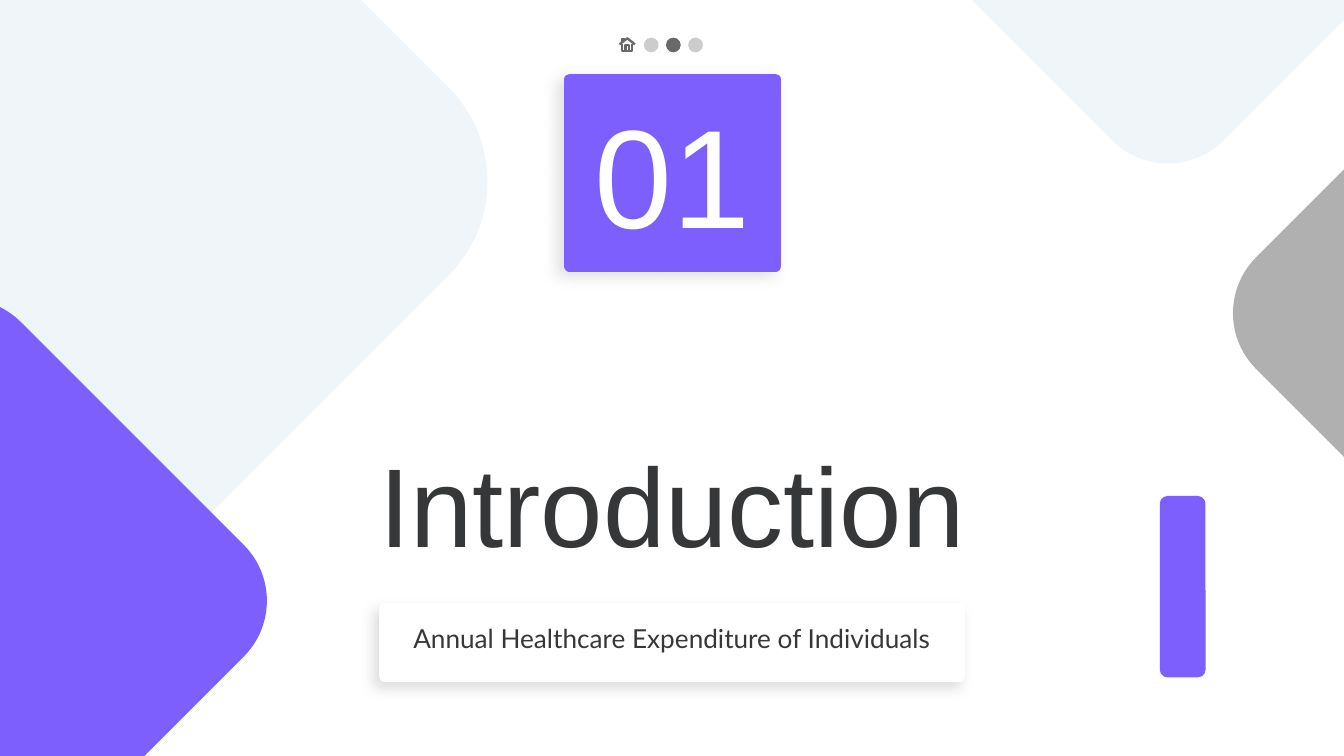
from lxml.etree import SubElement
from pptx import Presentation
from pptx.dml.color import RGBColor
from pptx.enum.shapes import MSO_SHAPE as SHAPE
from pptx.enum.text import MSO_ANCHOR as ANCHOR, PP_ALIGN as ALIGN
from pptx.oxml.ns import qn
from pptx.util import Inches, Pt

COLORS = {
    "purple": "7D5FFE",
    "pale": "F0F5FA",
    "grey": "B0B0B0",
    "dark": "67696B",
    "ink": "353738",
    "white": "FFFFFF",
}
CELL = Inches(0.1)  # grid of 100 columns by 56.25 rows


def rgb(name):
    return RGBColor.from_string(COLORS[name])


def put_text(sp, text, size=14, font="Arial", color="ink", anchor=ANCHOR.TOP):
    tf = sp.text_frame
    tf.word_wrap = True
    tf.vertical_anchor = anchor
    tf.margin_left = tf.margin_right = tf.margin_top = tf.margin_bottom = CELL
    p = tf.paragraphs[0]
    p.alignment = ALIGN.CENTER
    r = p.add_run()
    r.text = text
    r.font.size = Pt(size)
    r.font.name = font
    r.font.color.rgb = rgb(color)


class Deck:
    def __init__(self):
        self.prs = Presentation()
        self.prs.slide_width = 100 * CELL
        self.prs.slide_height = int(56.25 * CELL)
        self.s = self.prs.slides.add_slide(self.prs.slide_layouts[6])

    def grid(self, *cells):
        return [int(c * CELL) for c in cells]

    def shape(self, kind, col, row, cols, rows, color, alpha=None):
        sp = self.s.shapes.add_shape(kind, *self.grid(col, row, cols, rows))
        sp.shadow.inherit = False
        sp.fill.solid()
        sp.fill.fore_color.rgb = rgb(color)
        sp.line.fill.background()
        if alpha:
            clr = sp.fill._xPr.find(qn("a:solidFill"))[0]
            SubElement(clr, qn("a:alpha"), val=str(alpha * 1000))
        return sp

    def diamond(self, col, row, side, color):
        sp = self.shape(SHAPE.ROUNDED_RECTANGLE, col, row, side, side, color)
        sp.rotation = 315

    def card(self, col, row, cols, rows, color, blur, angle):
        sp = self.shape(SHAPE.RECTANGLE, col, row, cols, rows, color)
        sp.line.color.rgb = rgb(color)
        sp.line.width = Pt(6)
        SubElement(sp.line._get_or_add_ln(), qn("a:round"))
        effects = sp._element.spPr.find(qn("a:effectLst"))
        shadow = SubElement(effects, qn("a:outerShdw"), blurRad=str(Pt(blur)),
                            dist=str(Pt(4.5)), dir=str(angle * 60000),
                            algn="bl", rotWithShape="0")
        clr = SubElement(shadow, qn("a:srgbClr"), val=COLORS["grey"])
        SubElement(clr, qn("a:alpha"), val="40000")
        return sp

    def label(self, col, row, cols, rows, text, **fmt):
        box = self.s.shapes.add_textbox(*self.grid(col, row, cols, rows))
        put_text(box, text, **fmt)

    def strokes(self, col, row, lines, color, width):
        """Open outlines; points are tenths of a cell from (col, row)."""
        paths = [[self.grid(col + x / 10, row + y / 10) for x, y in line]
                 for line in lines]
        fb = self.s.shapes.build_freeform(*paths[0][0])
        for i, points in enumerate(paths):
            if i:
                fb.move_to(*points[0])
            fb.add_line_segments(points[1:], close=False)
        sp = fb.convert_to_shape()
        sp.shadow.inherit = False
        sp.fill.background()
        sp.line.color.rgb = rgb(color)
        sp.line.width = Pt(width)


def main():
    deck = Deck()

    # Background diamonds
    for col, row, side, color in [
        (69.3, -27.9, 35.2, "pale"),
        (-31.1, -16.1, 59.2, "pale"),
        (-20.2, 27.1, 35.2, "purple"),
        (96.6, 5.7, 35.2, "grey"),
    ]:
        deck.diamond(col, row, side, color)

    # Section title, number and subtitle
    deck.label(25.8, 21.7, 48.4, 21.7, "Introduction", size=60,
               anchor=ANCHOR.BOTTOM)
    number = deck.card(42.4, 5.9, 15.3, 13.9, "purple", blur=7.9, angle=150)
    put_text(number, "01", size=75, color="white", anchor=ANCHOR.MIDDLE)
    subtitle = deck.card(28.6, 45.3, 42.8, 5, "white", blur=6.8, angle=130)
    put_text(subtitle, "Annual Healthcare Expenditure of Individuals",
             font="Lato")

    # Accent bar
    deck.shape(SHAPE.ROUNDED_RECTANGLE, 86.3, 36.9, 3.4, 13.5, "purple")

    # Page dots, the second one current
    for i in range(3):
        color, alpha = ("dark", None) if i == 1 else ("grey", 64)
        deck.shape(SHAPE.OVAL, 47.9 + 1.65 * i, 2.8, 1.1, 1.1, color, alpha)

    # Home icon: roof, walls, door, chimney
    deck.strokes(46.1, 2.8, [
        [(0, 5), (5.75, 0.5), (11.5, 5)],
        [(2, 5), (2, 10), (9.5, 10), (9.5, 5)],
        [(4.5, 10), (4.5, 5.5), (7, 5.5), (7, 10)],
        [(2, 3), (2, 1), (4, 1)],
    ], "dark", 1.25)

    deck.prs.save("out.pptx")


if __name__ == "__main__":
    main()
